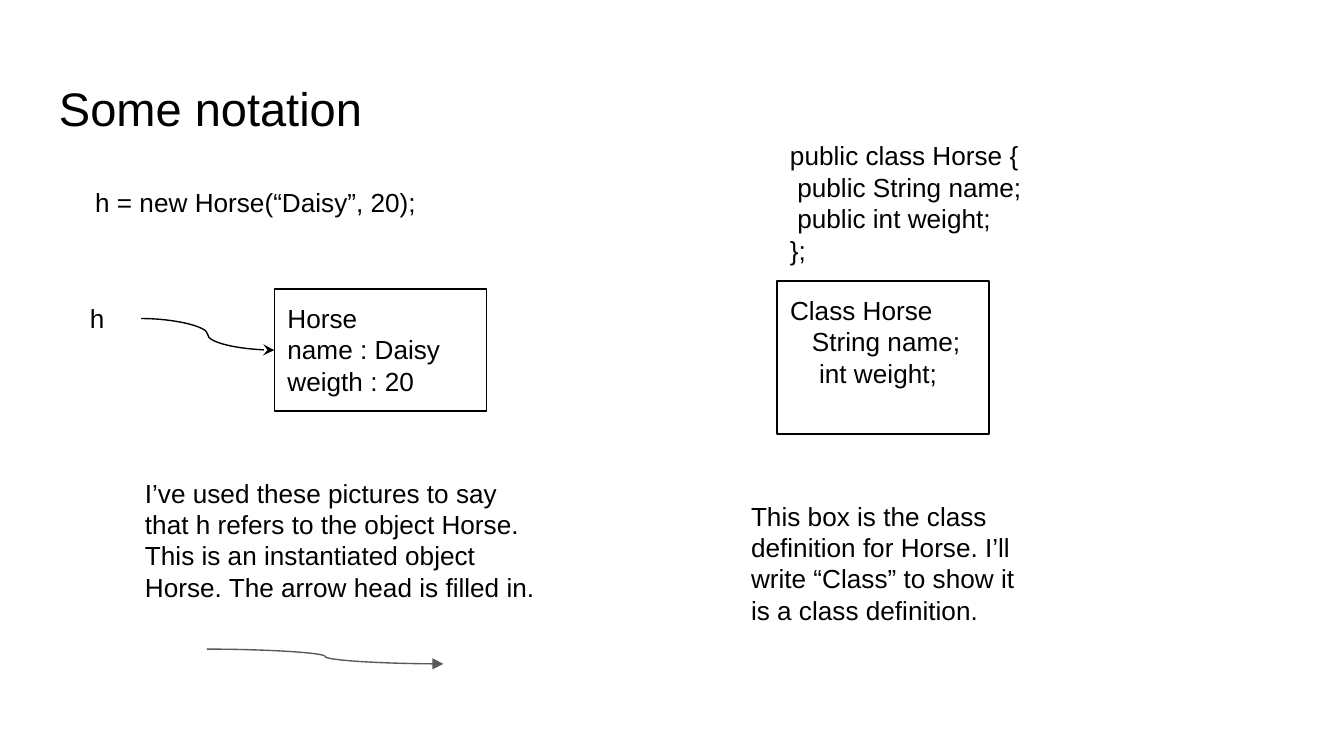
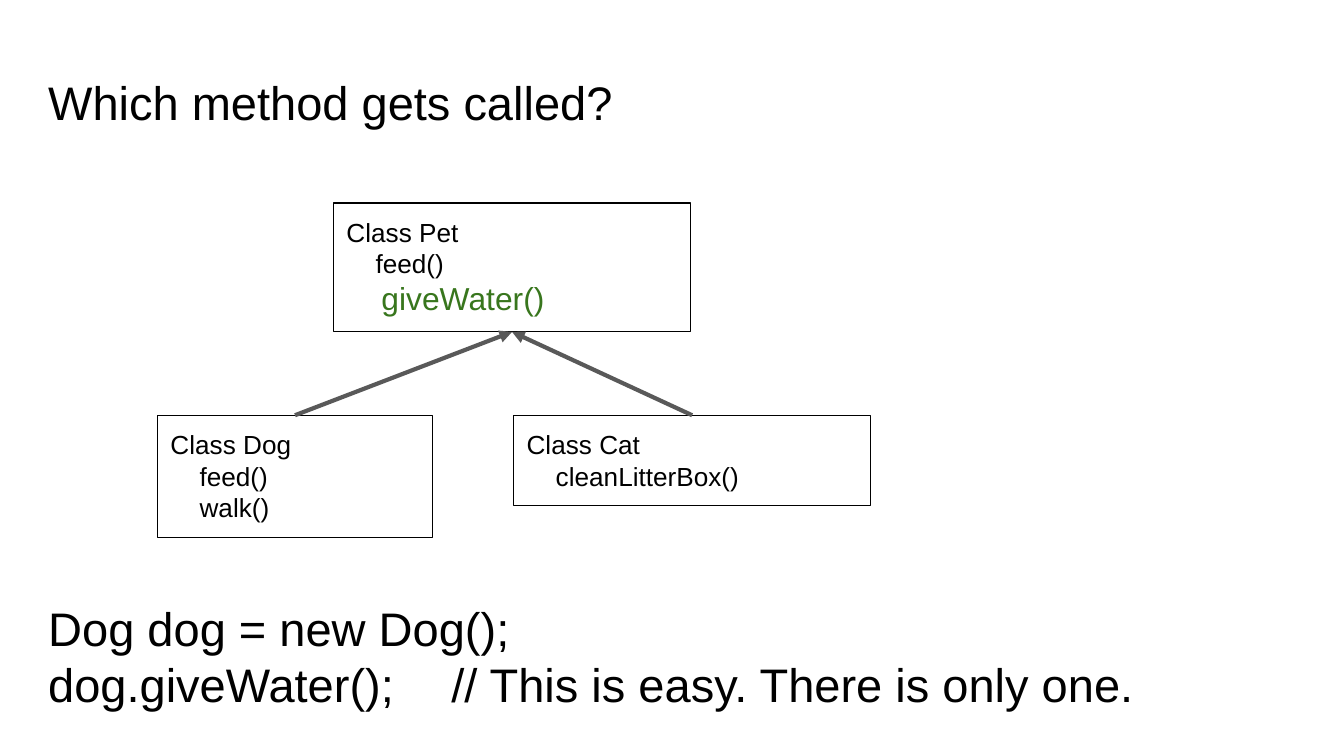
import pptx
import pptx.util
import pptx.dml.color
import pptx.enum.shapes
import pptx.enum.text
from lxml import etree

# Shared look: a grid of 100 columns, each cell a tenth of an inch square
WIDTH = 10
HEIGHT = WIDTH * 9 / 16
CELL = WIDTH / 100
FONT = "Arial"
BLACK, GRAY, GREEN = "000000", "595959", "38761D"
BODY, LARGE, TITLE = 14, 17, 25.2
THIN, THICK = 0.75, 2.25
STEP = 3.9  # points of indent for each level of code depth
TITLE_SIZE = (93.2, 6.3)

CONNECTOR = pptx.enum.shapes.MSO_CONNECTOR
ANCHOR = pptx.enum.text.MSO_ANCHOR
TOP, LEFT, BOTTOM, RIGHT = range(4)  # connection sites of a rectangle

# Content: a line is text, or (text, format); places are left, top, width, height in cells
SLIDES = [
    {
        "titles": [((3.4, 4.9, *TITLE_SIZE), ["Some notation"], ANCHOR.MIDDLE)],
        "boxes": {
            "object": ((20.4, 21.5, 15.8, 9.1), ["Horse", "name : Daisy", "weigth : 20"]),
            "class": ((57.8, 20.9, 15.8, 11.4),
                      ["Class Horse", ("String name;", {"depth": 3}),
                       ("int weight;", {"depth": 4})]),
        },
        "texts": {
            "variable": ((5.7, 21.5, 4.8, 4.4), ["h"]),
            "object note": ((9.8, 34.5, 31.5, 13.8), [
                "I’ve used these pictures to say that h refers to the object Horse. "
                "This is an instantiated object Horse. The arrow head is filled in."]),
            "class note": ((54.9, 36.2, 22.3, 11.4), [
                "This box is the class definition for Horse. "
                "I’ll write “Class” to show it is a class definition."]),
            "call": ((6.1, 12.9, 33.3, 4.4), ["h = new Horse(“Daisy”, 20);"]),
            "code": ((57.8, 9.4, 33.7, 11.4), [
                "public class Horse {", ("public String name;", {"depth": 1}),
                ("public int weight;", {"depth": 1}), "};"]),
        },
        "links": [("variable", RIGHT, "object", LEFT,
                   {"kind": CONNECTOR.CURVE, "color": BLACK, "head": "stealth"})],
        "arrows": [((15.4, 48.3, 33, 49.4), {"kind": CONNECTOR.CURVE})],
    },
    {
        "titles": [
            ((2.6, 4.4, *TITLE_SIZE), ["Which method gets called?"], ANCHOR.MIDDLE),
            ((2.6, 43.6, TITLE_SIZE[0], 11.2),
             ["Dog dog = new Dog();", "dog.giveWater();\t// This is easy. There is only one."],
             ANCHOR.TOP),
        ],
        "boxes": {
            "dog": ((11.7, 30.9, 20.5, 9.1),
                    ["Class Dog", ("feed()", {"depth": 4}), ("walk()", {"depth": 4})]),
            "pet": ((24.8, 15.1, 26.6, 9.6),
                    ["Class Pet", ("feed()", {"depth": 4}),
                     ("giveWater()", {"depth": 4.8, "size": LARGE, "color": GREEN})]),
            "cat": ((38.2, 30.9, 26.6, 6.7),
                    ["Class Cat", ("cleanLitterBox()", {"depth": 4})]),
        },
        "texts": {},
        "links": [(child, TOP, "pet", BOTTOM, {"width": THICK}) for child in ("dog", "cat")],
        "arrows": [],
    },
]


def rgb(value):
    return pptx.dml.color.RGBColor.from_string(value)


def cells(values):
    return [pptx.util.Inches(value * CELL) for value in values]


def add_line(para, text, size=BODY, color=BLACK, depth=0):
    span = para.add_run()
    span.text = text
    span.font.name = FONT
    span.font.size = pptx.util.Pt(size)
    span.font.color.rgb = rgb(color)
    para.alignment = pptx.enum.text.PP_ALIGN.LEFT
    if depth:
        properties = para._p.get_or_add_pPr()
        properties.set("marL", str(int(pptx.util.Pt(depth * STEP))))
        properties.set("indent", "0")


def write(shape, lines, anchor=ANCHOR.TOP, size=BODY):
    frame = shape.text_frame
    frame.word_wrap = True
    frame.vertical_anchor = anchor
    frame.margin_left = frame.margin_right = pptx.util.Inches(0.1)
    frame.margin_top = frame.margin_bottom = pptx.util.Inches(0.1)
    for index, line in enumerate(lines):
        text, style = (line, {}) if isinstance(line, str) else line
        para = frame.add_paragraph() if index else frame.paragraphs[0]
        add_line(para, text, **{"size": size, **style})


def add_text(page, place, lines, **style):
    box = page.shapes.add_textbox(*cells(place))
    write(box, lines, **style)
    return box


def add_box(page, place, lines):
    box = page.shapes.add_shape(pptx.enum.shapes.MSO_SHAPE.RECTANGLE, *cells(place))
    box.shadow.inherit = False
    box.fill.background()
    box.line.color.rgb = rgb(BLACK)
    box.line.width = pptx.util.Pt(THIN)
    write(box, lines)
    return box


def add_arrow(page, ends=(0, 0, 0, 0), kind=CONNECTOR.STRAIGHT, color=GRAY, width=THIN,
              head="triangle"):
    arrow = page.shapes.add_connector(kind, *cells(ends))
    arrow.line.color.rgb = rgb(color)
    arrow.line.width = pptx.util.Pt(width)
    properties = arrow._element.spPr
    space = properties.nsmap["a"]
    tip = etree.SubElement(arrow.line._get_or_add_ln(), f"{{{space}}}tailEnd")
    tip.set("type", head)
    etree.SubElement(properties, f"{{{space}}}effectLst")
    return arrow


# Build the deck
deck = pptx.Presentation()
deck.slide_width = pptx.util.Inches(WIDTH)
deck.slide_height = pptx.util.Inches(HEIGHT)
blank = deck.slide_layouts[6]

for content in SLIDES:
    page = deck.slides.add_slide(blank)
    parts = {}
    for place, lines, anchor in content["titles"]:
        add_text(page, place, lines, anchor=anchor, size=TITLE)
    for name, (place, lines) in content["boxes"].items():
        parts[name] = add_box(page, place, lines)
    for name, (place, lines) in content["texts"].items():
        parts[name] = add_text(page, place, lines)
    # Arrows that join two parts, then free ones
    for start, start_site, end, end_site, style in content["links"]:
        arrow = add_arrow(page, **style)
        arrow.begin_connect(parts[start], start_site)
        arrow.end_connect(parts[end], end_site)
    for ends, style in content["arrows"]:
        add_arrow(page, ends, **style)

deck.save("out.pptx")
